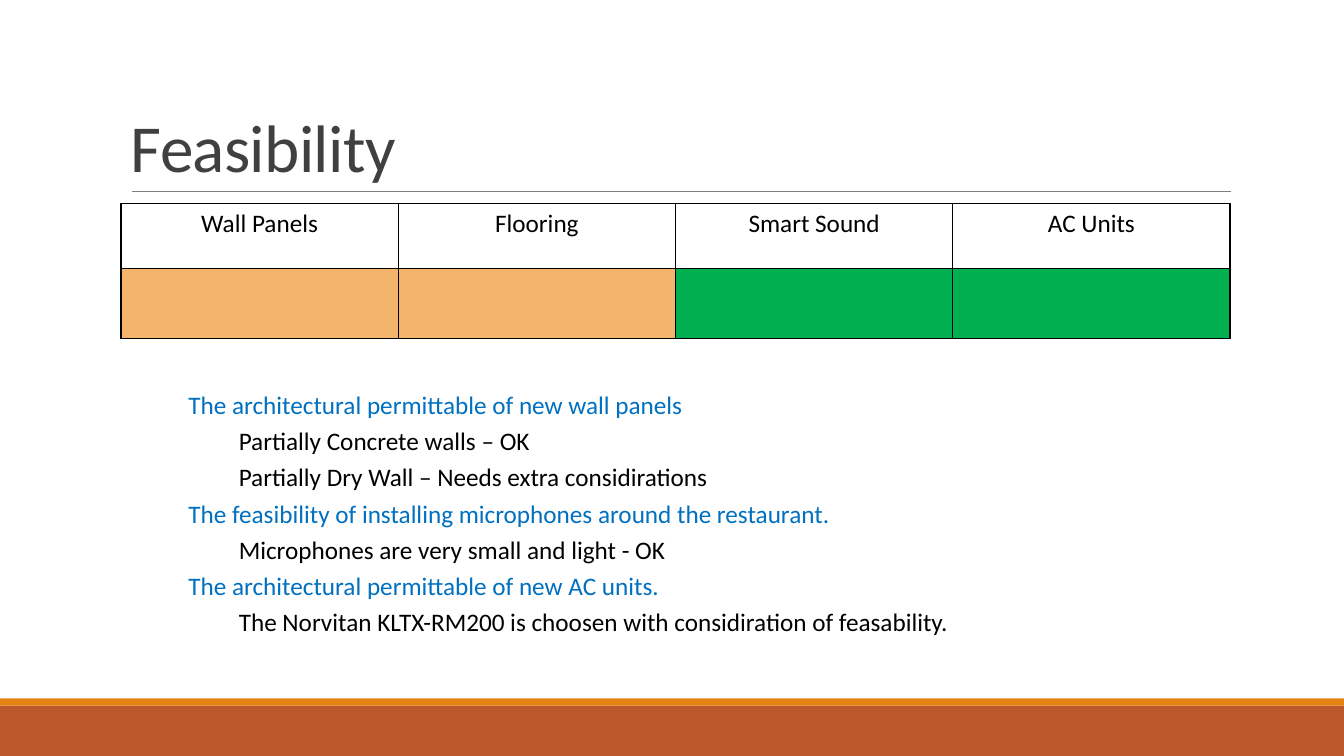
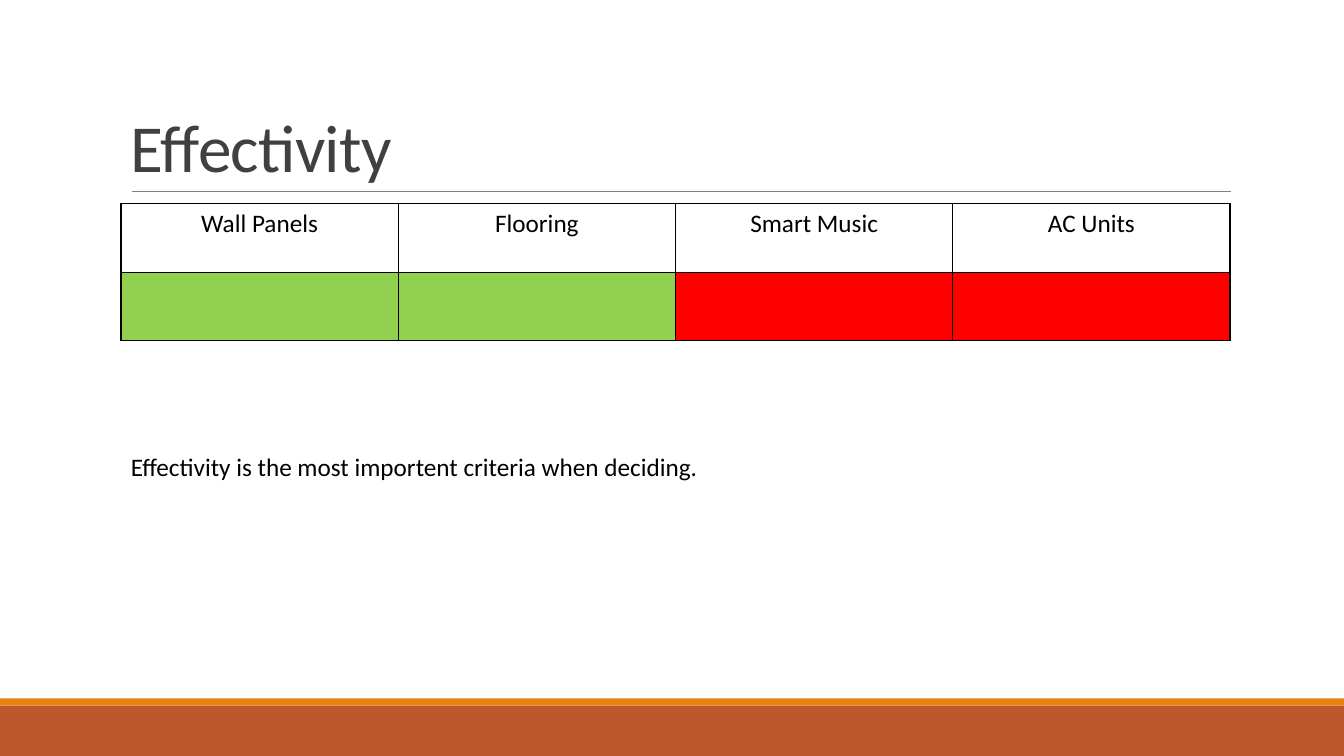
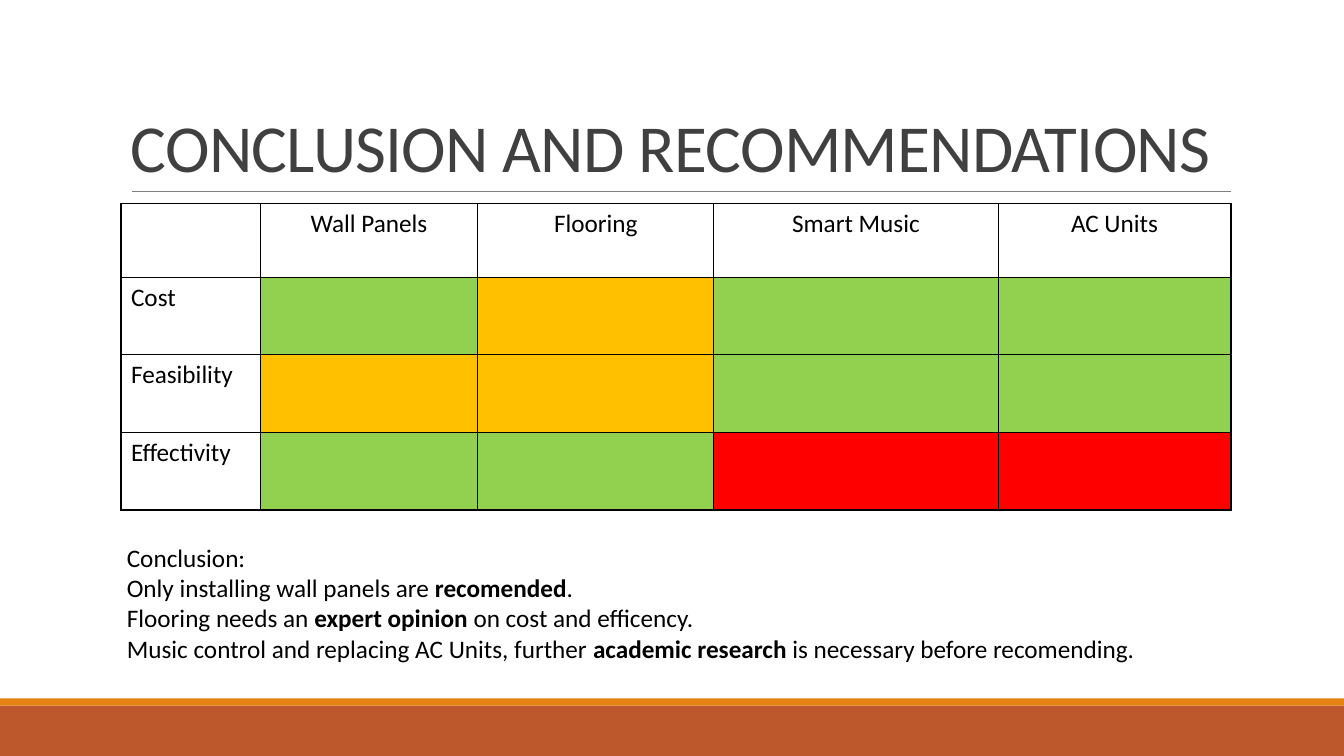
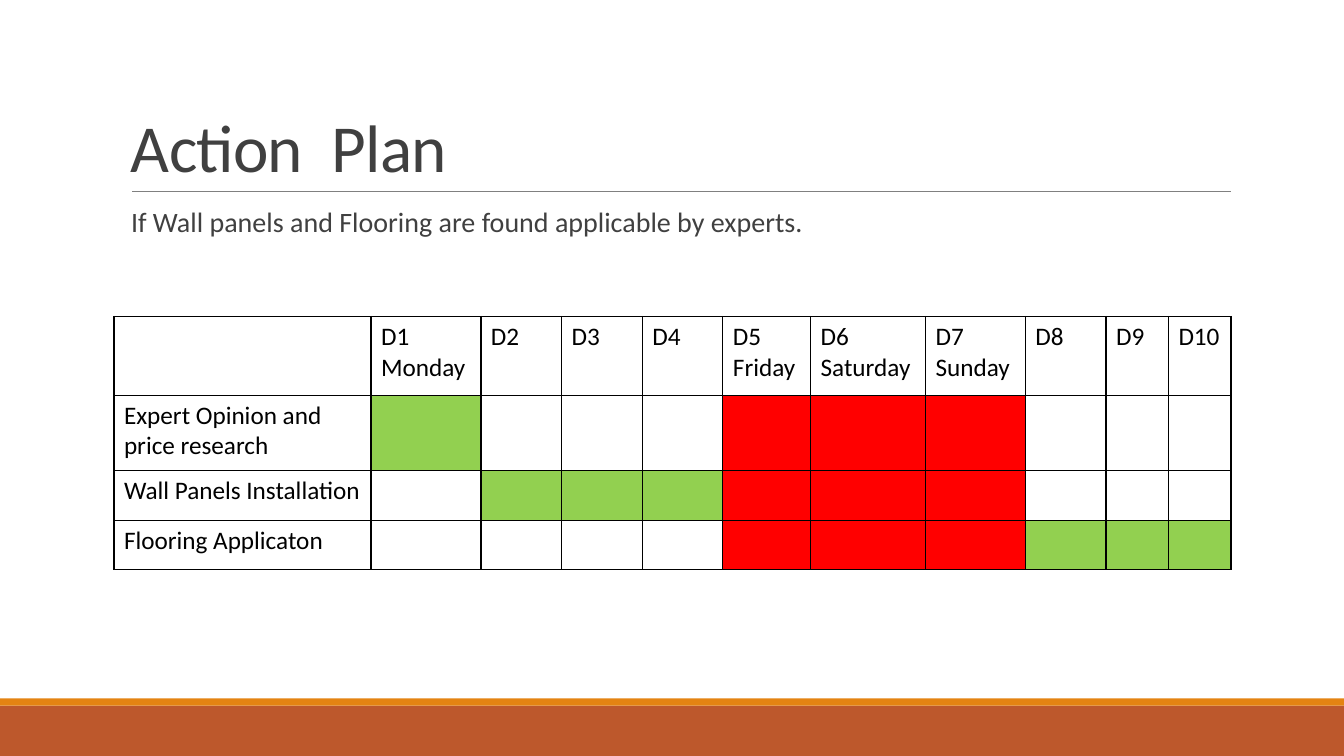
from dataclasses import dataclass, field
from typing import Any, Optional

from lxml.etree import SubElement as Sub
from pptx import Presentation
from pptx.dml.color import RGBColor as Rgb
from pptx.enum.shapes import MSO_CONNECTOR as Conn, MSO_SHAPE as Geom
from pptx.enum.text import MSO_ANCHOR as Anchor, MSO_AUTO_SIZE as Auto, PP_ALIGN as Align
from pptx.oxml.ns import qn
from pptx.util import Inches, Pt


@dataclass(frozen=True)
class Theme:
    font: str = "Calibri"
    title: float = 48
    lead: float = 20
    body: float = 18
    ink: str = "000000"
    gray: str = "404040"
    blue: str = "0070C0"
    rule: str = "808080"
    rust: str = "BD582C"
    amber: str = "E48312"
    marks: dict[str, str] = field(default_factory=lambda: {
        "G": "92D050", "D": "00B050", "P": "F3B56C", "Y": "FFC000", "R": "FF0000",
    })


@dataclass(frozen=True)
class Box:
    left: float
    top: float
    width: float
    height: float

    def emu(self) -> tuple[int, ...]:
        return tuple(Inches(v) for v in (self.left, self.top, self.width, self.height))


@dataclass(frozen=True)
class Band:
    box: Box
    color: str


@dataclass(frozen=True)
class Line:
    text: str
    color: str
    size: float
    indent: float = 0
    track: int = 0


@dataclass(frozen=True)
class Note:
    box: Box
    lines: list[Line]
    align: Align = Align.LEFT
    space: float = 1
    anchor: Anchor = Anchor.TOP
    fit: Auto = Auto.SHAPE_TO_FIT_TEXT
    inset: float = 0.1


@dataclass(frozen=True)
class Grid:
    left: float
    top: float
    cols: list[float]
    rows: list[float]
    texts: list[list[str]]
    marks: list[str]
    align: Align = Align.CENTER


@dataclass(frozen=True)
class Page:
    title: str
    grid: Grid
    note: Note


THEME = Theme()
BANDS = [
    Band(Box(0, 7, 13.33, 0.5), THEME.rust),
    Band(Box(0, 6.93, 13.33, 0.07), THEME.amber),
]


def assign(item: Any, values: dict[str, Any]) -> None:
    for name, value in values.items():
        setattr(item, name, value)


def paint(fill: Any, color: Optional[str]) -> None:
    if color is None:
        fill.background()
    else:
        fill.solid()
        fill.fore_color.rgb = Rgb.from_string(color)


def write(para: Any, line: Line) -> None:
    for i, part in enumerate(line.text.split("*")):
        if not part:
            continue
        run = para.add_run()
        run.text = part
        assign(run.font, {"name": THEME.font, "size": Pt(line.size), "bold": i % 2 == 1})
        run.font.color.rgb = Rgb.from_string(line.color)
        if line.track:
            run.font._element.set("spc", str(line.track))


def fill_text(frame: Any, lines: list[Line], style: dict[str, Any]) -> None:
    for i, line in enumerate(lines):
        para = frame.add_paragraph() if i else frame.paragraphs[0]
        assign(para, style)
        if line.indent:
            para._p.get_or_add_pPr().set("marL", str(Inches(line.indent)))
        write(para, line)


def add_note(slide: Any, note: Note) -> None:
    frame = slide.shapes.add_textbox(*note.box.emu()).text_frame
    assign(frame, {
        "word_wrap": True, "auto_size": note.fit, "vertical_anchor": note.anchor,
        "margin_left": Inches(note.inset), "margin_right": Inches(note.inset),
    })
    fill_text(frame, note.lines, {"alignment": note.align, "line_spacing": note.space})


def add_frame(slide: Any, title: str) -> None:
    for band in BANDS:
        shape = slide.shapes.add_shape(Geom.RECTANGLE, *band.box.emu())
        shape.shadow.inherit = False
        paint(shape.fill, band.color)
        shape.line.fill.background()
    rule = slide.shapes.add_connector(
        Conn.STRAIGHT, Inches(1.31), Inches(1.9), Inches(12.21), Inches(1.9))
    paint(rule.line.fill, THEME.rule)
    rule.line.width = Pt(0.5)
    Sub(rule._element.spPr, qn("a:effectLst"))
    add_note(slide, Note(
        Box(1.2, 0.31, 11, 1.59), [Line(title, THEME.gray, THEME.title, track=-50)],
        space=0.85, anchor=Anchor.BOTTOM, fit=Auto.NONE))


def edge(cell: Any) -> None:
    props = cell._tc.get_or_add_tcPr()
    for side in "LRTB":
        line = Sub(props, qn(f"a:ln{side}"), w=str(Pt(1)))
        Sub(Sub(line, qn("a:solidFill")), qn("a:srgbClr"), val=THEME.ink)


def add_grid(slide: Any, grid: Grid) -> None:
    box = Box(grid.left, grid.top, sum(grid.cols), sum(grid.rows))
    table = slide.shapes.add_table(len(grid.rows), len(grid.cols), *box.emu()).table
    assign(table, {"first_row": False, "horz_banding": False})
    for col, width in zip(table.columns, grid.cols):
        col.width = Inches(width)
    for r, (row, height) in enumerate(zip(table.rows, grid.rows)):
        row.height = Inches(height)
        for c, cell in enumerate(row.cells):
            edge(cell)
            paint(cell.fill, THEME.marks.get(grid.marks[r - 1][c]) if r else None)
            if c < len(grid.texts[r]):
                lines = [Line(t, THEME.ink, THEME.body) for t in grid.texts[r][c].split("\n")]
                fill_text(cell.text_frame, lines,
                          {"alignment": Align.LEFT if r else grid.align})


def plain(*texts: str) -> list[Line]:
    return [Line(t, THEME.ink, THEME.body) for t in texts]


def topic(head: str, *items: str) -> list[Line]:
    return [Line(head, THEME.blue, THEME.body, 0.57),
            *(Line(t, THEME.ink, THEME.body, 1.07) for t in items)]


PAGES = [
    Page(
        "Feasibility",
        Grid(1.2, 2.02, [2.75] * 4, [0.64, 0.7],
             [["Wall Panels", "Flooring", "Smart Sound", "AC Units"], []], ["PPDD"]),
        Note(Box(1.2, 3.75, 11, 2.95), [
            *topic("The architectural permittable of new wall panels",
                   "Partially Concrete walls – OK",
                   "Partially Dry Wall – Needs extra considirations"),
            *topic("The feasibility of installing microphones around the restaurant.",
                   "Microphones are very small and light - OK"),
            *topic("The architectural permittable of new AC units.",
                   "The Norvitan KLTX-RM200 is choosen with considiration of feasability."),
        ], Align.JUSTIFY, 1.2),
    ),
    Page(
        "Effectivity",
        Grid(1.2, 2.02, [2.75] * 4, [0.68] * 2,
             [["Wall Panels", "Flooring", "Smart Music", "AC Units"], []], ["GGRR"]),
        Note(Box(1.2, 4.43, 11, 0.4),
             plain("Effectivity is the most importent criteria when deciding.")),
    ),
    Page(
        "CONCLUSION AND RECOMMENDATIONS",
        Grid(1.2, 2.02, [1.38, 2.16, 2.34, 2.82, 2.31], [0.73] + [0.77] * 3,
             [["", "Wall Panels", "Flooring", "Smart Music", "AC Units"],
              ["Cost"], ["Feasibility"], ["Effectivity"]],
             [".GYGG", ".YYGG", ".GGRR"]),
        Note(Box(1.16, 5.33, 11.17, 1.31), plain(
            "Conclusion:",
            "Only installing wall panels are *recomended*.",
            "Flooring needs an *expert opinion* on cost and efficency.",
            "Music control and replacing AC Units, further *academic research* "
            "is necessary before recomending.")),
    ),
    Page(
        "Action  Plan",
        Grid(1.13, 3.14,
             [2.55, 1.09, 0.8, 0.8, 0.8, 0.87, 1.14, 0.99, 0.8, 0.62, 0.62],
             [0.78, 0.75, 0.49, 0.49],
             [["", "D1\nMonday", "D2", "D3", "D4", "D5\nFriday", "D6\nSaturday",
               "D7\nSunday", "D8", "D9", "D10"],
              ["Expert Opinion and price research"],
              ["Wall Panels Installation"], ["Flooring Applicaton"]],
             [".G...RRR...", "..GGGRRR...", ".....RRRGGG"], Align.LEFT),
        Note(Box(1.2, 2.02, 11, 4.4),
             [Line("If Wall panels and Flooring are found applicable by experts.",
                   THEME.gray, THEME.lead, 0.1)],
             space=0.9, fit=Auto.NONE, inset=0),
    ),
]


def build() -> None:
    deck = Presentation()
    assign(deck, {"slide_width": Inches(13.33), "slide_height": Inches(7.5)})
    for page in PAGES:
        slide = deck.slides.add_slide(deck.slide_layouts[6])
        add_frame(slide, page.title)
        add_note(slide, page.note)
        add_grid(slide, page.grid)
    deck.save("out.pptx")


build()
